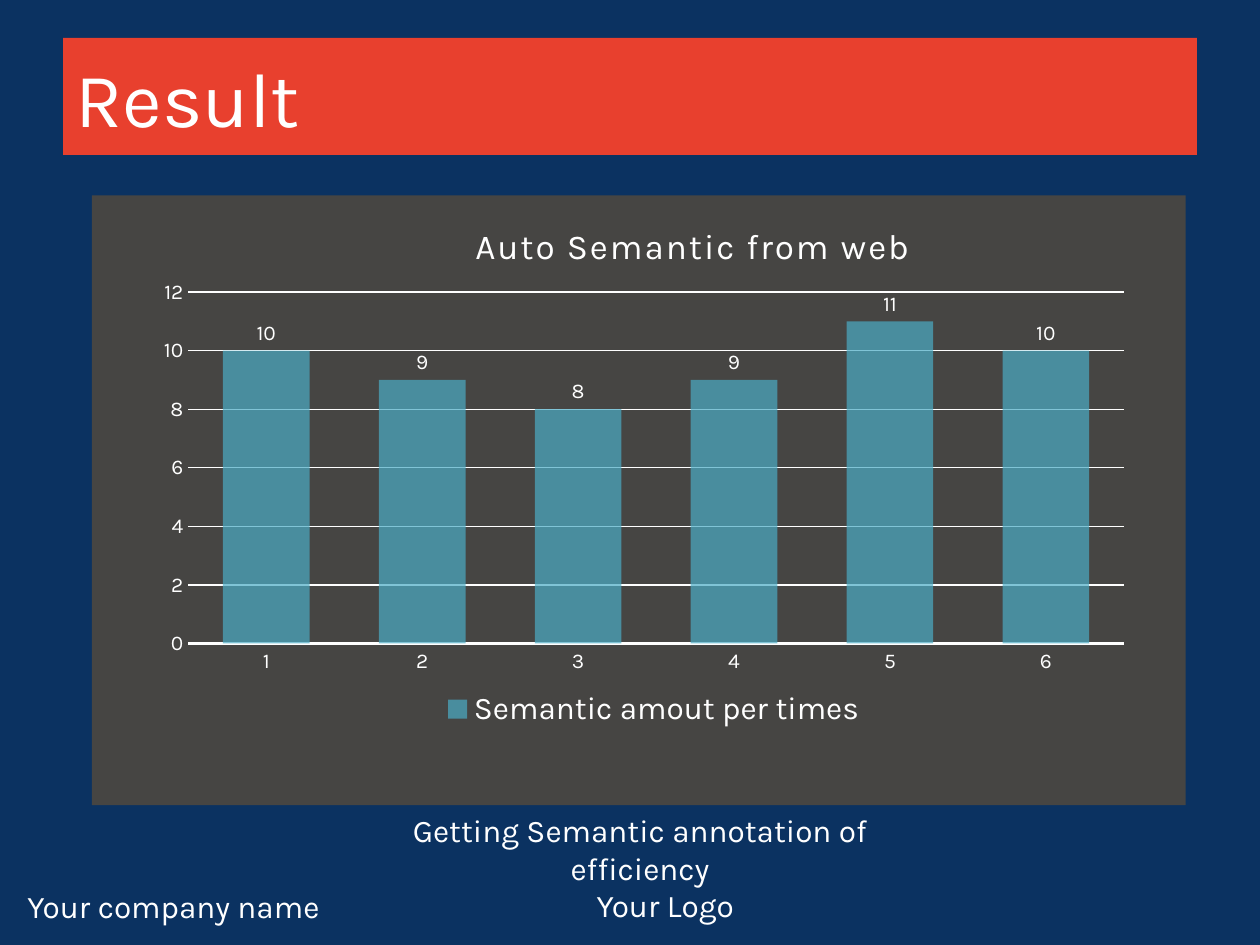
from lxml import etree
from pptx import Presentation
from pptx.chart.data import CategoryChartData
from pptx.dml.color import RGBColor
from pptx.enum.chart import XL_CHART_TYPE, XL_LABEL_POSITION, XL_LEGEND_POSITION, XL_TICK_MARK
from pptx.enum.shapes import MSO_SHAPE
from pptx.enum.text import MSO_ANCHOR, PP_ALIGN
from pptx.oxml import parse_xml
from pptx.oxml.ns import nsdecls, qn
from pptx.util import Pt

COLUMN = XL_CHART_TYPE.COLUMN_CLUSTERED
OUTSIDE_END = XL_LABEL_POSITION.OUTSIDE_END
BOTTOM = XL_LEGEND_POSITION.BOTTOM
NO_TICK = XL_TICK_MARK.NONE
RECTANGLE = MSO_SHAPE.RECTANGLE
MIDDLE = MSO_ANCHOR.MIDDLE
LEFT, CENTER = PP_ALIGN.LEFT, PP_ALIGN.CENTER

FONT = "Karla"
NAVY, RED, GREY, TEAL, WHITE = "0B3261", "E8402E", "464543", "4BACC6", "FFFFFF"


def rgb(value):
    return RGBColor.from_string(value)


def paint(fill, color):
    fill.solid()
    fill.fore_color.rgb = rgb(color)


def style_font(font, size):
    font.name = FONT
    font.size = Pt(size)
    font.bold = False
    font.color.rgb = rgb(WHITE)


def add_title(s, text, box):
    sp = s.shapes.title
    sp.left, sp.top, sp.width, sp.height = map(Pt, box)
    paint(sp.fill, RED)
    tf = sp.text_frame
    tf.text = text
    tf.vertical_anchor = MIDDLE
    p = tf.paragraphs[0]
    p.alignment = LEFT
    style_font(p.runs[0].font, 44)


def add_panel(s, box):
    sp = s.shapes.add_shape(RECTANGLE, *map(Pt, box))
    sp.shadow.inherit = False
    paint(sp.fill, GREY)
    sp.line.fill.background()


def add_text(s, text, box, align=LEFT):
    tf = s.shapes.add_textbox(*map(Pt, box)).text_frame
    tf.word_wrap = True
    tf.text = text
    p = tf.paragraphs[0]
    p.alignment = align
    style_font(p.runs[0].font, 18)


def place(parent, index, inner=False, **position):
    for old in parent.findall(qn("c:layout")):
        parent.remove(old)
    layout = parse_xml(f"<c:layout {nsdecls('c')}><c:manualLayout/></c:layout>")
    settings = {"layoutTarget": "inner"} if inner else {}
    settings.update(xMode="edge", yMode="edge", **position)
    for name, value in settings.items():
        etree.SubElement(layout[0], qn(f"c:{name}")).set("val", str(value))
    parent.insert(index, layout)


def format_axes(chart):
    for axis in (chart.category_axis, chart.value_axis):
        axis.major_tick_mark = axis.minor_tick_mark = NO_TICK
        style_font(axis.tick_labels.font, 12)
    line = chart.category_axis.format.line
    line.color.rgb = rgb(WHITE)
    line.width = Pt(1.25)
    axis = chart.value_axis
    axis.minimum_scale, axis.maximum_scale, axis.major_unit = 0, 12, 2
    axis.format.line.fill.background()
    axis.has_major_gridlines = True
    grid = axis.major_gridlines.format.line
    grid.color.rgb = rgb(WHITE)
    grid.width = Pt(0.75)


def format_columns(plot):
    plot.gap_width = 80
    plot.overlap = 25
    plot.vary_by_categories = False
    series = plot.series[0]
    fill = series.format.fill
    paint(fill, TEAL)
    color = next(series.format.element.iter(qn("a:srgbClr")))
    etree.SubElement(color, qn("a:alpha")).set("val", "70000")
    labels = series.data_labels
    labels.show_value = True
    labels.position = OUTSIDE_END
    style_font(labels.font, 12)


def format_heading(chart, text):
    chart.has_title = True
    tf = chart.chart_title.text_frame
    tf.text = text
    r = tf.paragraphs[0].runs[0]
    style_font(r.font, 20)
    r.font._element.set("spc", "100")


def add_column_chart(s, box):
    data = CategoryChartData()
    data.categories = ["1", "2", "3", "4", "5", "6"]
    data.add_series("Semantic amout per times", (10, 9, 8, 9, 11, 10))
    chart = s.shapes.add_chart(COLUMN, *map(Pt, box), data).chart
    style_font(chart.font, 10)
    format_heading(chart, "Auto Semantic from web")
    format_axes(chart)
    format_columns(chart.plots[0])
    chart.has_legend = True
    chart.legend.position = BOTTOM
    chart.legend.include_in_layout = False
    style_font(chart.legend.font, 18)
    root = chart.element
    place(next(root.iter(qn("c:title"))), 1, x=0.33, y=0.02)
    place(next(root.iter(qn("c:legend"))), 1, x=0.3, y=0.82)
    place(next(root.iter(qn("c:plotArea"))), 0, inner=True, x=0.06, y=0.15, w=0.9, h=0.6)


def main():
    prs = Presentation()
    prs.slide_width, prs.slide_height = Pt(720), Pt(540)
    s = prs.slides.add_slide(prs.slide_layouts[5])
    paint(s.background.fill, NAVY)
    add_text(s, "Your company name", (8.64, 503.28, 612, 24.48))
    add_text(s, "Your Logo", (326.16, 502.56, 108, 30.24), CENTER)
    add_panel(s, (52.56, 111.6, 624.96, 348.48))
    add_title(s, "Result", (36, 21.6, 648, 66.96))
    add_text(s, "Getting Semantic annotation of efficiency", (201.6, 460.08, 328.32, 28.8), CENTER)
    add_column_chart(s, (72, 116.64, 594, 334.8))
    prs.save("out.pptx")


if __name__ == "__main__":
    main()
